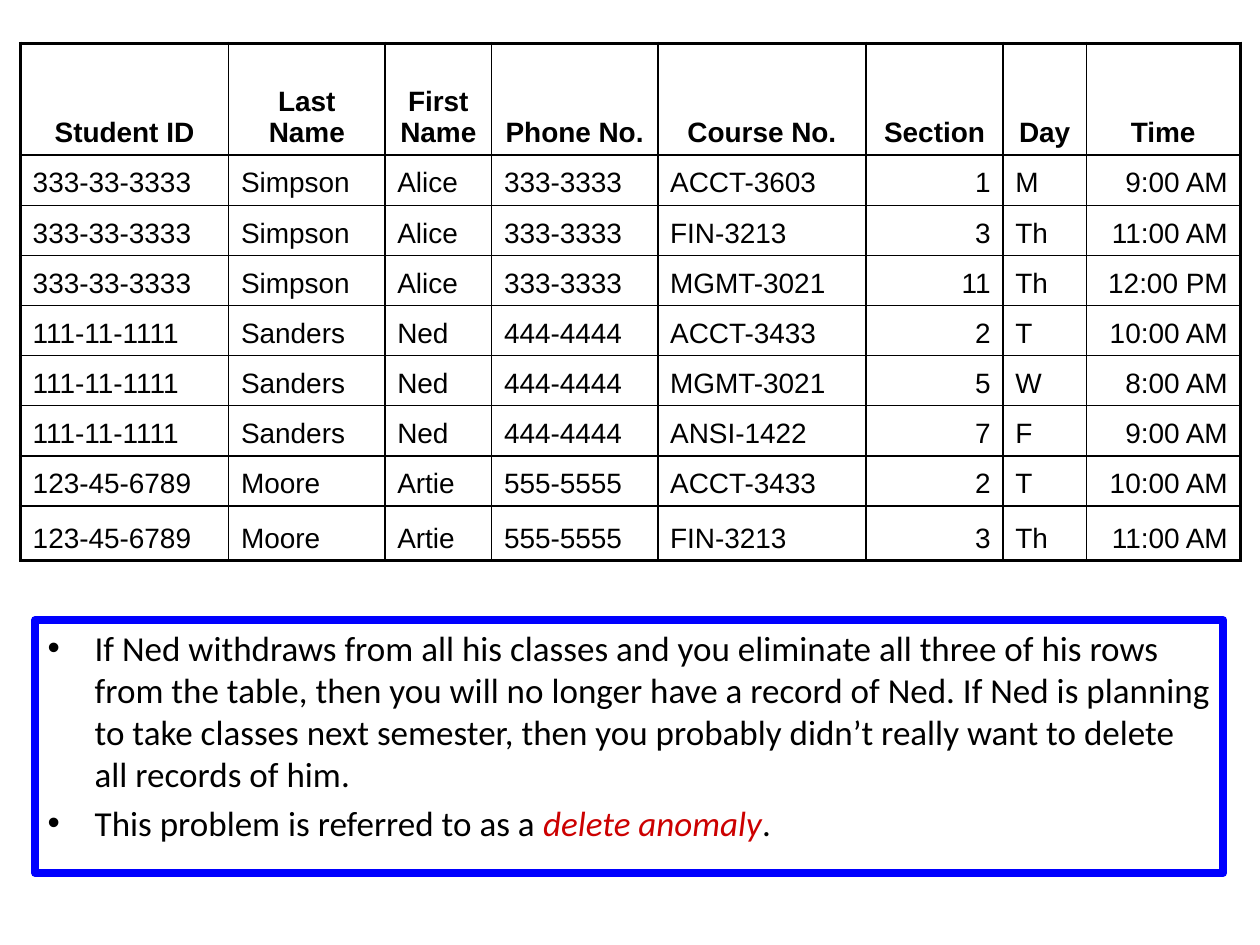
from dataclasses import dataclass

from lxml import etree
from pptx import Presentation
from pptx.dml.color import RGBColor
from pptx.enum.shapes import MSO_SHAPE
from pptx.enum.text import MSO_ANCHOR, PP_ALIGN
from pptx.oxml.ns import qn
from pptx.util import Cm, Pt

RECT = MSO_SHAPE.RECTANGLE
TOP, BOTTOM = MSO_ANCHOR.TOP, MSO_ANCHOR.BOTTOM
LEFT, CENTER, RIGHT = PP_ALIGN.LEFT, PP_ALIGN.CENTER, PP_ALIGN.RIGHT


@dataclass(frozen=True)
class Theme:
    ink: str = "000000"
    paper: str = "FFFFFF"
    frame: str = "0000FF"
    term: str = "CC0000"
    grid_font: str = "Arial"
    note_font: str = "Calibri"
    grid_size: float = 16
    note_size: float = 20
    thin: float = 1
    thick: float = 2
    edge: float = 4.5


THEME = Theme()

COLUMNS = [
    ("Student ID", 4.2, LEFT),
    ("Last Name", 3.15, LEFT),
    ("First Name", 2.15, LEFT),
    ("Phone No.", 3.35, LEFT),
    ("Course No.", 4.2, LEFT),
    ("Section", 2.76, RIGHT),
    ("Day", 1.68, LEFT),
    ("Time", 3.1, RIGHT),
]

STUDENTS = [
    (("333-33-3333", "Simpson", "Alice", "333-3333"), [
        ("ACCT-3603", "1", "M", "9:00 AM"),
        ("FIN-3213", "3", "Th", "11:00 AM"),
        ("MGMT-3021", "11", "Th", "12:00 PM"),
    ]),
    (("111-11-1111", "Sanders", "Ned", "444-4444"), [
        ("ACCT-3433", "2", "T", "10:00 AM"),
        ("MGMT-3021", "5", "W", "8:00 AM"),
        ("ANSI-1422", "7", "F", "9:00 AM"),
    ]),
    (("123-45-6789", "Moore", "Artie", "555-5555"), [
        ("ACCT-3433", "2", "T", "10:00 AM"),
        ("FIN-3213", "3", "Th", "11:00 AM"),
    ]),
]

NOTES = [
    [("If Ned withdraws from all his classes and you eliminate all three of "
      "his rows from the table, then you will no longer have a record of Ned. "
      "If Ned is planning to take classes next semester, then you probably "
      "didn’t really want to delete all records of him.", False)],
    [("This problem is referred to as a ", False),
     ("delete anomaly", True),
     (".", False)],
]

HEAD_HIGH, ROW_HIGH, LAST_HIGH = 2.26, 1.01, 1.1
PAD_X, PAD_Y = Cm(0.25), Cm(0.13)


def style(run, font, size, color):
    run.font.name = font
    run.font.size = Pt(size)
    run.font.color.rgb = RGBColor.from_string(color)


def pad(box):
    box.margin_left = box.margin_right = PAD_X
    box.margin_top = box.margin_bottom = PAD_Y


def add_fill(node, color):
    fill = etree.SubElement(node, qn("a:solidFill"))
    etree.SubElement(fill, qn("a:srgbClr"), val=color)


def add_edges(cell, outer):
    props = cell._tc.get_or_add_tcPr()
    for side, bold in zip("LRTB", outer):
        width = THEME.thick if bold else THEME.thin
        line = etree.SubElement(props, qn("a:ln" + side), w=str(Pt(width)))
        add_fill(line, THEME.ink)


def add_grid(slide):
    rows = [[name for name, _, _ in COLUMNS]]
    rows += [who + course for who, courses in STUDENTS for course in courses]
    end, side = len(rows) - 1, len(COLUMNS) - 1
    highs = [HEAD_HIGH] + [ROW_HIGH] * (end - 1) + [LAST_HIGH]
    wide = sum(width for _, width, _ in COLUMNS)
    grid = slide.shapes.add_table(len(rows), len(COLUMNS), Cm(0.41), Cm(0.87),
                                  Cm(wide), Cm(sum(highs))).table
    grid.horz_banding = False
    for col, (_, width, _) in zip(grid.columns, COLUMNS):
        col.width = Cm(width)
    for i, (row, high) in enumerate(zip(rows, highs)):
        grid.rows[i].height = Cm(high)
        for j, text in enumerate(row):
            cell = grid.cell(i, j)
            cell.text_frame.text = text
            cell.vertical_anchor = BOTTOM
            pad(cell)
            para = cell.text_frame.paragraphs[0]
            para.alignment = CENTER if i == 0 else COLUMNS[j][2]
            run = para.runs[0]
            style(run, THEME.grid_font, THEME.grid_size, THEME.ink)
            run.font.bold = i == 0
            add_edges(cell, (j == 0, j == side, i == 0, i == end))
            cell.fill.background()


def add_bullet(para):
    props = para._p.get_or_add_pPr()
    props.set("marL", str(Cm(0.95)))
    props.set("indent", str(-Cm(0.95)))
    color = etree.SubElement(props, qn("a:buClr"))
    etree.SubElement(color, qn("a:srgbClr"), val=THEME.ink)
    etree.SubElement(props, qn("a:buFont"), typeface=THEME.grid_font)
    etree.SubElement(props, qn("a:buChar"), char="•")


def add_notes(slide):
    box = slide.shapes.add_shape(RECT, Cm(0.71), Cm(12.5), Cm(23.95), Cm(5.1))
    box.shadow.inherit = False
    box.fill.solid()
    box.fill.fore_color.rgb = RGBColor.from_string(THEME.paper)
    box.line.color.rgb = RGBColor.from_string(THEME.frame)
    box.line.width = Pt(THEME.edge)
    frame = box.text_frame
    frame.word_wrap = True
    frame.vertical_anchor = TOP
    pad(frame)
    for i, parts in enumerate(NOTES):
        para = frame.add_paragraph() if i else frame.paragraphs[0]
        para.alignment = LEFT
        if i:
            para.space_before = Pt(4)
        add_bullet(para)
        for text, term in parts:
            run = para.add_run()
            run.text = text
            style(run, THEME.note_font, THEME.note_size,
                  THEME.term if term else THEME.ink)
            run.font.italic = term


def main():
    deck = Presentation()
    deck.slide_width, deck.slide_height = Cm(25.4), Cm(19.05)
    slide = deck.slides.add_slide(deck.slide_layouts[6])
    add_grid(slide)
    add_notes(slide)
    deck.save("out.pptx")


if __name__ == "__main__":
    main()
